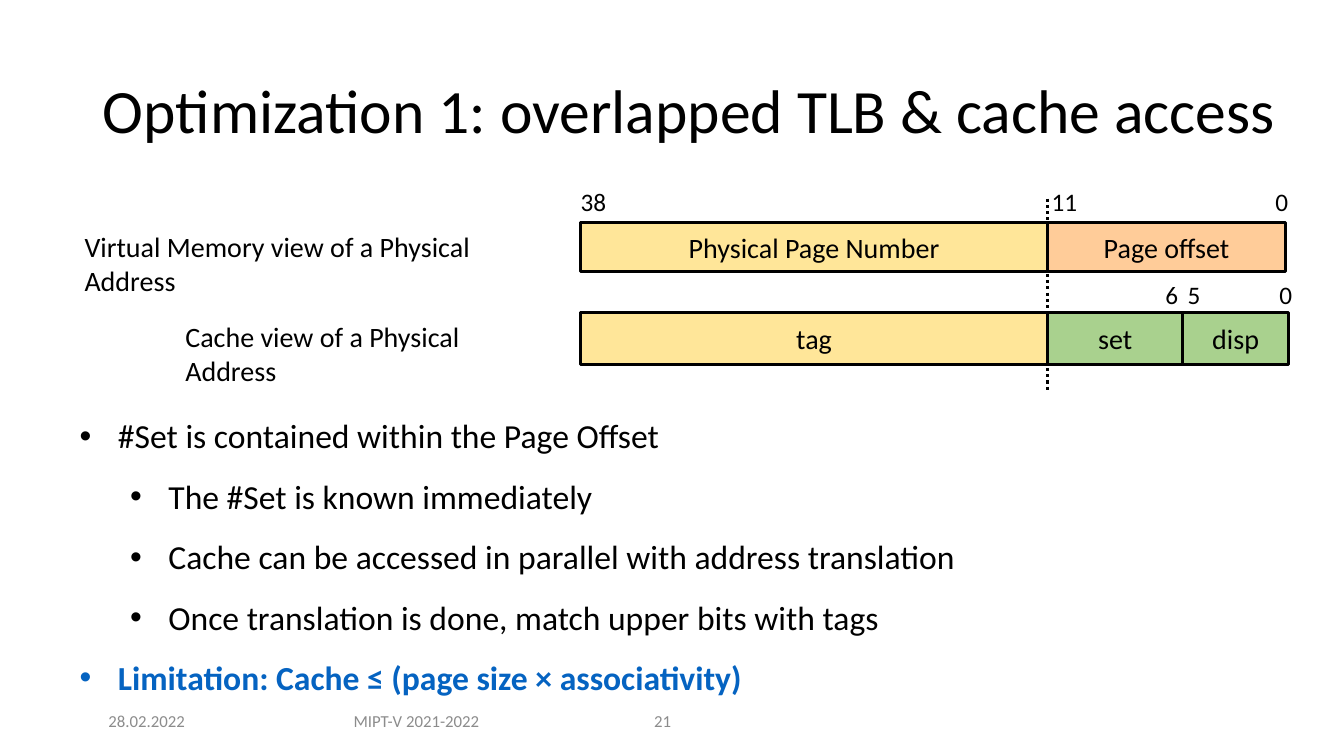
from lxml import etree
from pptx import Presentation
from pptx.dml.color import RGBColor
from pptx.enum.dml import MSO_LINE
from pptx.enum.shapes import MSO_CONNECTOR, MSO_SHAPE
from pptx.enum.text import MSO_ANCHOR, MSO_AUTO_SIZE, PP_ALIGN
from pptx.oxml.ns import qn
from pptx.util import Inches, Pt

RECT = MSO_SHAPE.RECTANGLE
LINE = MSO_CONNECTOR.STRAIGHT
DOTS = MSO_LINE.ROUND_DOT
LEFT, MID = PP_ALIGN.LEFT, PP_ALIGN.CENTER
TOP, CENTER = MSO_ANCHOR.TOP, MSO_ANCHOR.MIDDLE
FIXED = MSO_AUTO_SIZE.NONE

BLACK, BLUE, GRAY = "000000", "0563C1", "8C8C8C"
YELLOW, ORANGE, GREEN = "FFE699", "FFCC99", "A9D18E"

POINTS = [
    (0, "#Set is contained within the Page Offset", BLACK),
    (1, "The #Set is known immediately", BLACK),
    (1, "Cache can be accessed in parallel with address translation", BLACK),
    (1, "Once translation is done, match upper bits with tags", BLACK),
    (0, "Limitation: Cache ≤ (page size × associativity)", BLUE),
]


def color(value):
    return RGBColor.from_string(value)


def style(para, size, ink=BLACK, bold=False, align=LEFT):
    para.alignment = align
    for run in para.runs:
        font = run.font
        font.name, font.size, font.bold = "Calibri", Pt(size), bold
        font.color.rgb = color(ink)


def inset(frame, side, edge):
    frame.margin_left = frame.margin_right = Inches(side)
    frame.margin_top = frame.margin_bottom = Inches(edge)


def place(shape, box):
    shape.left, shape.top, shape.width, shape.height = map(Inches, box)


def label(slide, box, text, size, ink=BLACK, align=LEFT, anchor=TOP,
          wrap=True, pad=(0.1, 0.05)):
    frame = slide.shapes.add_textbox(*map(Inches, box)).text_frame
    frame.text = text
    frame.word_wrap = wrap
    frame.vertical_anchor = anchor
    inset(frame, *pad)
    style(frame.paragraphs[0], size, ink, align=align)


def field(slide, box, text, fill):
    shape = slide.shapes.add_shape(RECT, *map(Inches, box))
    shape.shadow.inherit = False
    shape.fill.solid()
    shape.fill.fore_color.rgb = color(fill)
    shape.line.color.rgb = color(BLACK)
    shape.line.width = Pt(2.25)
    frame = shape.text_frame
    frame.text = text
    frame.word_wrap = False
    frame.vertical_anchor = CENTER
    inset(frame, 0, 0)
    style(frame.paragraphs[0], 20, align=MID)


def address(slide, box, name, indent, fields, bits, rise):
    left, top, width, height = box
    label(slide, (left + indent, top + 0.02, width, 0.44), name, 20)
    start = 5.76
    for text, size, fill in fields:
        field(slide, (start, top, size, height), text, fill)
        start += size
    for text, spot in bits:
        label(slide, (spot, top - rise, 0.13 * len(text), 0.3), text, 18,
              wrap=False, pad=(0, 0))


def divide(slide, spot, top, end):
    line = slide.shapes.add_connector(
        LINE, Inches(spot), Inches(top), Inches(spot), Inches(end))
    line.line.color.rgb = color(BLACK)
    line.line.width = Pt(2.25)
    line.line.dash_style = DOTS
    etree.SubElement(line._element.spPr, qn("a:effectLst"))


def title(slide, box, text):
    shape = slide.shapes.title
    place(shape, box)
    frame = shape.text_frame
    frame.text = text
    frame.auto_size = FIXED
    frame.vertical_anchor = CENTER
    para = frame.paragraphs[0]
    para.line_spacing = 0.9
    style(para, 44)


def bullet(para, level):
    props = para._p.get_or_add_pPr()
    props.set("marL", str(Inches(0.38 + 0.5 * level)))
    props.set("indent", str(Inches(-0.38)))
    etree.SubElement(props, qn("a:buFont"), typeface="Arial")
    etree.SubElement(props, qn("a:buChar"), char="•")


def points(slide, box, items):
    shape = slide.placeholders[1]
    place(shape, box)
    frame = shape.text_frame
    frame.auto_size = FIXED
    frame.text = "\n".join(text for _, text, _ in items)
    for para, (level, _, ink) in zip(frame.paragraphs, items):
        para.level = level
        bullet(para, level)
        para.line_spacing = 1.5
        para.space_before = Pt(0)
        style(para, 24, ink, ink == BLUE)


def footer(slide, top, items):
    for left, width, text, align in items:
        label(slide, (left, top, width, 0.4), text, 12, GRAY, align, CENTER)


def main():
    deck = Presentation()
    deck.slide_width, deck.slide_height = Inches(13.33), Inches(7.5)
    slide = deck.slides.add_slide(deck.slide_layouts[1])
    title(slide, (0.92, 0.4, 12.5, 1.45),
          "Optimization 1: overlapped TLB & cache access")
    points(slide, (0.69, 3.87, 9.09, 3.13), POINTS)
    address(slide, (0.74, 2.21, 4.7, 0.48),
            "Virtual Memory view of a Physical Address", 0,
            [("Physical Page Number", 4.63, YELLOW),
             ("Page offset", 2.36, ORANGE)],
            [("38", 5.76), ("11", 10.43), ("0", 12.65)], 0.36)
    address(slide, (0.74, 3.1, 3.7, 0.52),
            "Cache view of a Physical Address", 1,
            [("tag", 4.63, YELLOW), ("set", 1.34, GREEN),
             ("disp", 1.05, GREEN)],
            [("6", 11.56), ("5", 11.78), ("0", 12.69)], 0.33)
    divide(slide, 10.39, 1.97, 3.87)
    footer(slide, 6.95, [(0.92, 1.07, "28.02.2022", MID),
                         (3.34, 1.58, "MIPT-V 2021-2022", MID),
                         (6.39, 0.79, "21", LEFT)])
    deck.save("out.pptx")


if __name__ == "__main__":
    main()
